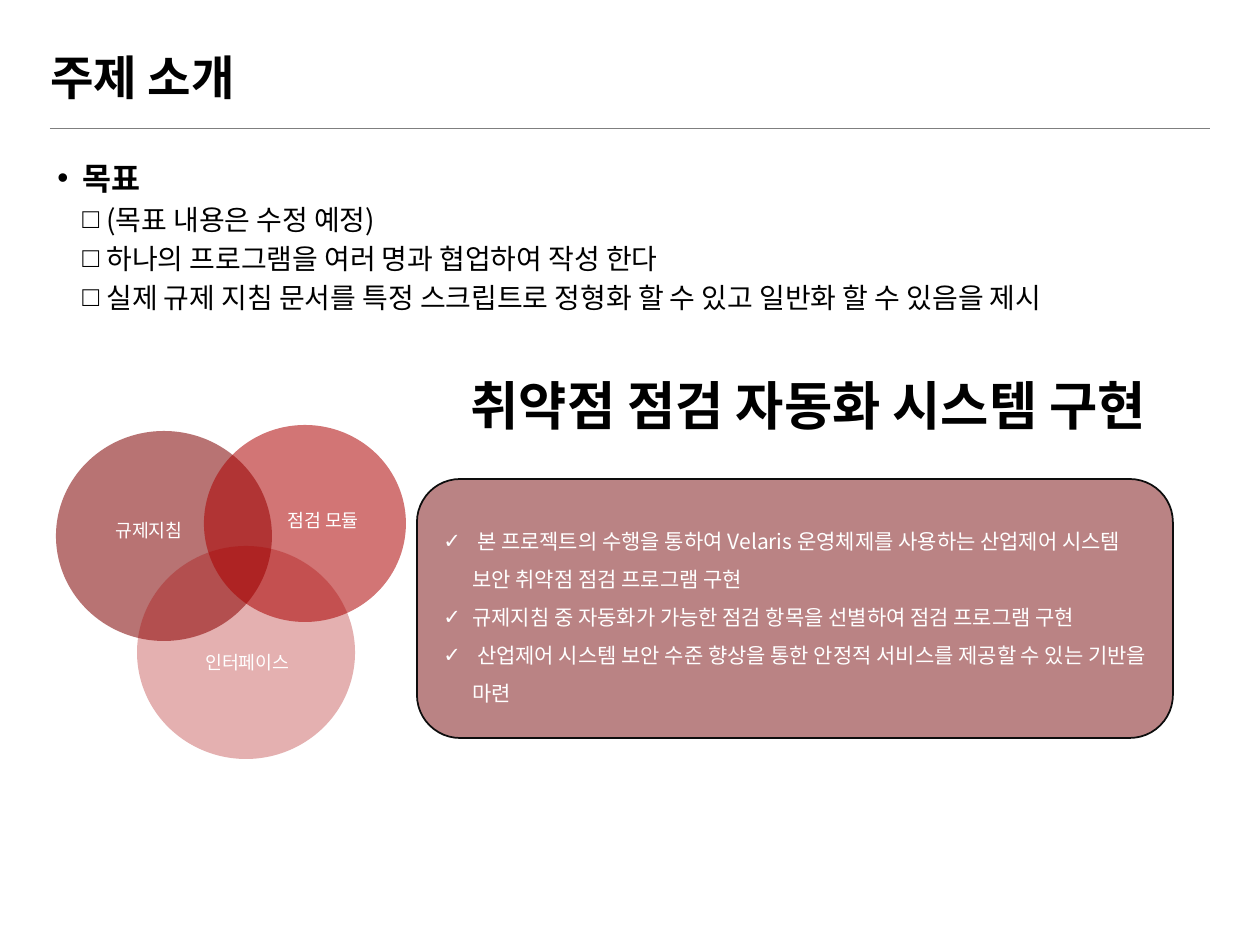
import pptx
import pptx.dml.color
import pptx.enum.shapes
import pptx.enum.text
import pptx.oxml.ns
import pptx.util
from lxml import etree

PX = 914400 / 126
SANS = "Noto Sans CJK KR"
COLORS = {
    "ink": "000000", "paper": "FFFFFF", "rule": "7F7F7F",
    "panel": "BA8384", "panel_edge": "0D0D0D",
    "guideline": "7E0000", "module": "AC0000", "interface": "A80000",
}
MIDDLE = pptx.enum.text.MSO_ANCHOR.MIDDLE
TOP = pptx.enum.text.MSO_ANCHOR.TOP
LEFT = pptx.enum.text.PP_ALIGN.LEFT
CENTER = pptx.enum.text.PP_ALIGN.CENTER
SHAPES = pptx.enum.shapes.MSO_SHAPE
qn = pptx.oxml.ns.qn


def px(*lengths):
    return [pptx.util.Emu(round(length * PX)) for length in lengths]


def write(paragraph, text, size, color, bold=False, font=SANS, bullet=None, indent=(0, 0), **layout):
    if bullet:
        props = paragraph._p.get_or_add_pPr()
        margin, hanging = px(*indent)
        props.set("marL", str(margin))
        props.set("indent", str(-hanging))
        etree.SubElement(props, qn("a:buFont")).set("typeface", "Arial")
        etree.SubElement(props, qn("a:buChar")).set("char", bullet)
    for name, value in layout.items():
        setattr(paragraph, name, value)
    run = paragraph.add_run()
    run.text = text
    for name, value in {"name": font, "size": pptx.util.Pt(size), "bold": bold}.items():
        setattr(run.font, name, value)
    run.font.color.rgb = pptx.dml.color.RGBColor.from_string(COLORS[color])
    etree.SubElement(run._r.get_or_add_rPr(), qn("a:ea")).set("typeface", SANS)


deck = pptx.Presentation()
deck.slide_width, deck.slide_height = px(1260, 945)
slide = deck.slides.add_slide(deck.slide_layouts[5])

title = slide.shapes.title
title.left, title.top, title.width, title.height = px(37, 32, 1186, 96)
heading = slide.shapes.add_textbox(*px(436, 368, 745, 82))
for box, inset, text, size, font, align in [
    (title, 13, "주제 소개", 27, "Arial", LEFT),
    (heading, 9, "취약점 점검 자동화 시스템 구현", 30, SANS, CENTER),
]:
    side, edge = px(inset, 5)
    frame_format = {
        "word_wrap": True, "vertical_anchor": MIDDLE,
        "margin_left": side, "margin_right": side, "margin_top": edge, "margin_bottom": edge,
    }
    for name, value in frame_format.items():
        setattr(box.text_frame, name, value)
    write(box.text_frame.paragraphs[0], text, size, "ink", True, font, alignment=align, line_spacing=0.9)

rule = slide.shapes.add_connector(pptx.enum.shapes.MSO_CONNECTOR.STRAIGHT, *px(50, 128, 1210, 128))
rule.line.color.rgb = pptx.dml.color.RGBColor.from_string(COLORS["rule"])
rule.line.width = pptx.util.Pt(0.5)
etree.SubElement(rule._element.spPr, qn("a:effectLst"))

drawn = []
for kind, bounds, color, opacity, edge in [
    (SHAPES.ROUNDED_RECTANGLE, (417, 479, 756, 259), "panel", 100, "panel_edge"),
    (SHAPES.RECTANGLE, (431, 510, 738, 164), "panel", 100, None),
    (SHAPES.OVAL, (56, 431, 216, 210), "guideline", 55, None),
    (SHAPES.OVAL, (204, 425, 202, 197), "module", 54, None),
    (SHAPES.OVAL, (137, 546, 218, 213), "interface", 31, None),
]:
    shape = slide.shapes.add_shape(kind, *px(*bounds))
    shape.shadow.inherit = False
    shape.fill.solid()
    shape.fill.fore_color.rgb = pptx.dml.color.RGBColor.from_string(COLORS[color])
    if opacity < 100:
        tint = shape._element.spPr.find(qn("a:solidFill"))[0]
        etree.SubElement(tint, qn("a:alpha")).set("val", str(opacity * 1000))
    if edge:
        shape.line.color.rgb = pptx.dml.color.RGBColor.from_string(COLORS[edge])
        shape.line.width = pptx.util.Pt(1)
    else:
        shape.line.fill.background()
    drawn.append(shape)

outcomes = drawn[1].text_frame
outcomes.word_wrap = True
outcomes.vertical_anchor = TOP
for index, text in enumerate([
    " 본 프로젝트의 수행을 통하여 Velaris 운영체제를 사용하는 산업제어 시스템 보안 취약점 점검 프로그램 구현",
    "규제지침 중 자동화가 가능한 점검 항목을 선별하여 점검 프로그램 구현",
    " 산업제어 시스템 보안 수준 향상을 통한 안정적 서비스를 제공할 수 있는 기반을 마련",
]):
    paragraph = outcomes.add_paragraph() if index else outcomes.paragraphs[0]
    write(paragraph, text, 12, "paper", bullet="✓", indent=(29, 29),
          alignment=LEFT, line_spacing=pptx.util.Pt(21.7))

for text, bounds in [
    ("규제지침", (103, 513, 96, 35)),
    ("점검 모듈", (275, 503, 106, 35)),
    ("인터페이스", (193, 645, 113, 35)),
]:
    label = slide.shapes.add_textbox(*px(*bounds)).text_frame
    label.word_wrap = False
    write(label.paragraphs[0], text, 10.5, "paper")

goals = slide.shapes.add_textbox(*px(45, 149, 1178, 745)).text_frame
goals.word_wrap = True
write(goals.paragraphs[0], "목표", 18, "ink", True, bullet="•", indent=(25, 25),
      line_spacing=pptx.util.Pt(23.8))
for text in [
    "(목표 내용은 수정 예정)",
    "하나의 프로그램을 여러 명과 협업하여 작성 한다",
    "실제 규제 지침 문서를 특정 스크립트로 정형화 할 수 있고 일반화 할 수 있음을 제시",
]:
    write(goals.add_paragraph(), text, 16, "ink", bullet="□", indent=(49, 24), level=1,
          line_spacing=pptx.util.Pt(17.3), space_before=pptx.util.Pt(5))

deck.save("out.pptx")
